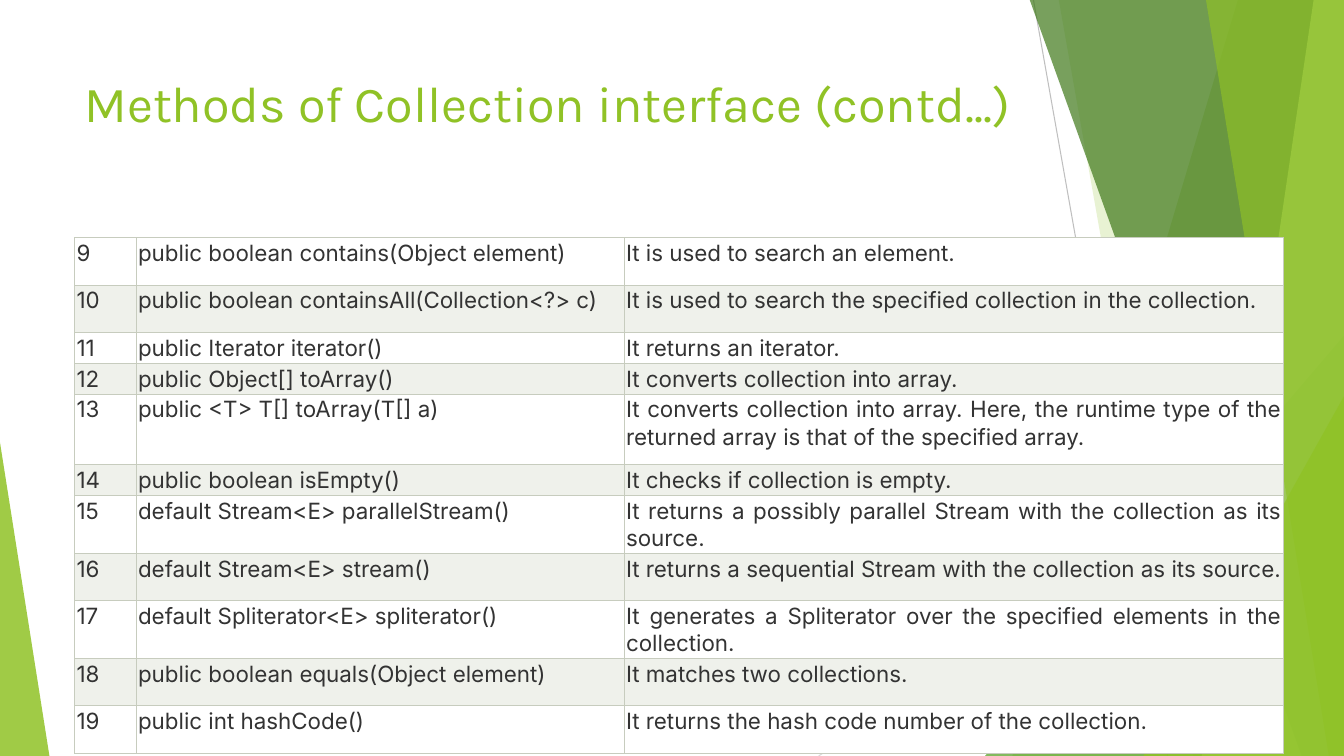
from dataclasses import dataclass

from lxml.etree import SubElement
from pptx import Presentation
from pptx.dml.color import RGBColor
from pptx.enum.shapes import MSO_CONNECTOR, MSO_SHAPE
from pptx.enum.text import MSO_ANCHOR, PP_ALIGN
from pptx.oxml.ns import qn
from pptx.shapes.base import BaseShape
from pptx.slide import Slide
from pptx.table import _Cell as Cell
from pptx.text.text import TextFrame
from pptx.util import Inches, Pt


@dataclass(frozen=True)
class Theme:
    green: str = "90C226"
    leaf: str = "54A021"
    forest: str = "3F7819"
    lime: str = "C0E474"
    ink: str = "333333"
    plain: str = "FFFFFF"
    band: str = "EFF1EB"
    border: str = "C7CCBE"
    title_font: str = "Karla"
    body_font: str = "Inter"
    title_size: int = 36
    body_size: int = 16
    hairline: float = 0.75


@dataclass(frozen=True)
class Ray:
    start: tuple[float, float]
    end: tuple[float, float]
    color: str


@dataclass(frozen=True)
class Facet:
    """A band from a slanted left edge to the right side of the slide."""
    top_x: float
    base_x: float
    color: str
    alpha: int


@dataclass(frozen=True)
class Wedge:
    left: float
    top: float
    width: float
    apex: float
    color: str
    alpha: int


@dataclass(frozen=True)
class Method:
    number: int
    code: str
    use: str
    height: float = 0.47


THEME = Theme()
WIDTH, HEIGHT = 13.33, 7.5
BLEED = -0.01
COLUMNS = (0.61, 4.84, 6.54)
SHORT, TALL = 0.25, 0.7

DECOR = (
    Ray((10.25, 0), (11.58, HEIGHT), "BFBFBF"),
    Ray((WIDTH, 4.03), (8.12, HEIGHT), "D9D9D9"),
    Facet(12.28, 10.04, THEME.green, 30),
    Facet(10.5, 11.83, THEME.green, 20),
    Wedge(9.77, 3.33, 3.56, 1, THEME.leaf, 72),
    Facet(10.21, 12.91, THEME.forest, 70),
    Facet(13.03, 11.92, THEME.lime, 70),
    Facet(11.96, 13.18, THEME.green, 65),
    Wedge(11.34, 3.93, 1.99, 1, THEME.green, 80),
    Wedge(0, 4.39, 0.49, 0, THEME.green, 85),
)

METHODS = (
    Method(9, "public boolean contains(Object element)", "It is used to search an element."),
    Method(10, "public boolean containsAll(Collection<?> c)",
           "It is used to search the specified collection in the collection."),
    Method(11, "public Iterator iterator()", "It returns an iterator.", SHORT),
    Method(12, "public Object[] toArray()", "It converts collection into array.", SHORT),
    Method(13, "public <T> T[] toArray(T[] a)",
           "It converts collection into array. Here, the runtime type of the "
           "returned array is that of the specified array.", TALL),
    Method(14, "public boolean isEmpty()", "It checks if collection is empty.", SHORT),
    Method(15, "default Stream<E> parallelStream()",
           "It returns a possibly parallel Stream with the collection as its source."),
    Method(16, "default Stream<E> stream()",
           "It returns a sequential Stream with the collection as its source."),
    Method(17, "default Spliterator<E> spliterator()",
           "It generates a Spliterator over the specified elements in the collection."),
    Method(18, "public boolean equals(Object element)", "It matches two collections."),
    Method(19, "public int hashCode()", "It returns the hash code number of the collection."),
)


def write(frame: TextFrame, text: str, *, font: str, size: int, color: str,
          align: PP_ALIGN = PP_ALIGN.LEFT) -> None:
    frame.word_wrap = True
    para = frame.paragraphs[0]
    para.alignment = align
    run = para.add_run()
    run.text = text
    run.font.name = font
    run.font.size = Pt(size)
    run.font.bold = False
    run.font.color.rgb = RGBColor.from_string(color)


def paint(shape: BaseShape, color: str, alpha: int) -> None:
    """Fill a shape with a colour at the given percentage of opacity."""
    shape.shadow.inherit = False
    shape.line.fill.background()
    shape.fill.solid()
    shape.fill.fore_color.rgb = RGBColor.from_string(color)
    tint = shape.fill._xPr.find(f".//{qn('a:srgbClr')}")
    SubElement(tint, qn("a:alpha"), val=str(alpha * 1000))


def draw_ray(slide: Slide, ray: Ray) -> None:
    ends = [Inches(n) for n in ray.start + ray.end]
    line = slide.shapes.add_connector(MSO_CONNECTOR.STRAIGHT, *ends)
    line.line.width = Pt(THEME.hairline)
    line.line.color.rgb = RGBColor.from_string(ray.color)
    SubElement(line._element.spPr, qn("a:effectLst"))


def draw_facet(slide: Slide, facet: Facet) -> None:
    corners = [(facet.top_x, BLEED), (WIDTH, BLEED), (WIDTH, HEIGHT), (facet.base_x, HEIGHT)]
    first, *rest = [(Inches(x), Inches(y)) for x, y in corners]
    pen = slide.shapes.build_freeform(*first)
    pen.add_line_segments(rest, close=True)
    paint(pen.convert_to_shape(), facet.color, facet.alpha)


def draw_wedge(slide: Slide, wedge: Wedge) -> None:
    shape = slide.shapes.add_shape(
        MSO_SHAPE.ISOSCELES_TRIANGLE, Inches(wedge.left), Inches(wedge.top),
        Inches(wedge.width), Inches(HEIGHT - wedge.top))
    shape.adjustments[0] = wedge.apex
    paint(shape, wedge.color, wedge.alpha)


def draw_decor(slide: Slide) -> None:
    tools = {Ray: draw_ray, Facet: draw_facet, Wedge: draw_wedge}
    for part in DECOR:
        tools[type(part)](slide, part)


def draw_title(slide: Slide) -> None:
    box = slide.shapes.add_textbox(Inches(0.74), Inches(0.67), Inches(9.4), Inches(1.44))
    box.text_frame.vertical_anchor = MSO_ANCHOR.TOP
    write(box.text_frame, "Methods of Collection interface (contd...)",
          font=THEME.title_font, size=THEME.title_size, color=THEME.green)


def style_cell(cell: Cell, fill: str) -> None:
    cell.margin_left = cell.margin_right = Inches(0.02)
    cell.margin_top = cell.margin_bottom = Inches(0.02)
    props = cell._tc.get_or_add_tcPr()
    for side in ("lnL", "lnR", "lnT", "lnB"):
        edge = SubElement(props, qn(f"a:{side}"), w=str(Pt(THEME.hairline)))
        SubElement(SubElement(edge, qn("a:solidFill")), qn("a:srgbClr"), val=THEME.border)
    cell.fill.solid()
    cell.fill.fore_color.rgb = RGBColor.from_string(fill)


def draw_table(slide: Slide) -> None:
    table = slide.shapes.add_table(
        len(METHODS), len(COLUMNS), Inches(0.74), Inches(2.36), Inches(sum(COLUMNS)),
        Inches(sum(item.height for item in METHODS))).table
    table.first_row = table.horz_banding = False
    for column, width in zip(table.columns, COLUMNS):
        column.width = Inches(width)
    for index, (row, item) in enumerate(zip(table.rows, METHODS)):
        row.height = Inches(item.height)
        fill = THEME.band if index % 2 else THEME.plain
        for cell, text in zip(row.cells, (str(item.number), item.code, item.use)):
            style_cell(cell, fill)
            write(cell.text_frame, text, font=THEME.body_font, size=THEME.body_size,
                  color=THEME.ink, align=PP_ALIGN.JUSTIFY)


def main() -> None:
    deck = Presentation()
    deck.slide_width, deck.slide_height = Inches(WIDTH), Inches(HEIGHT)
    slide = deck.slides.add_slide(deck.slide_layouts[6])
    draw_decor(slide)
    draw_title(slide)
    draw_table(slide)
    deck.save("out.pptx")


if __name__ == "__main__":
    main()
